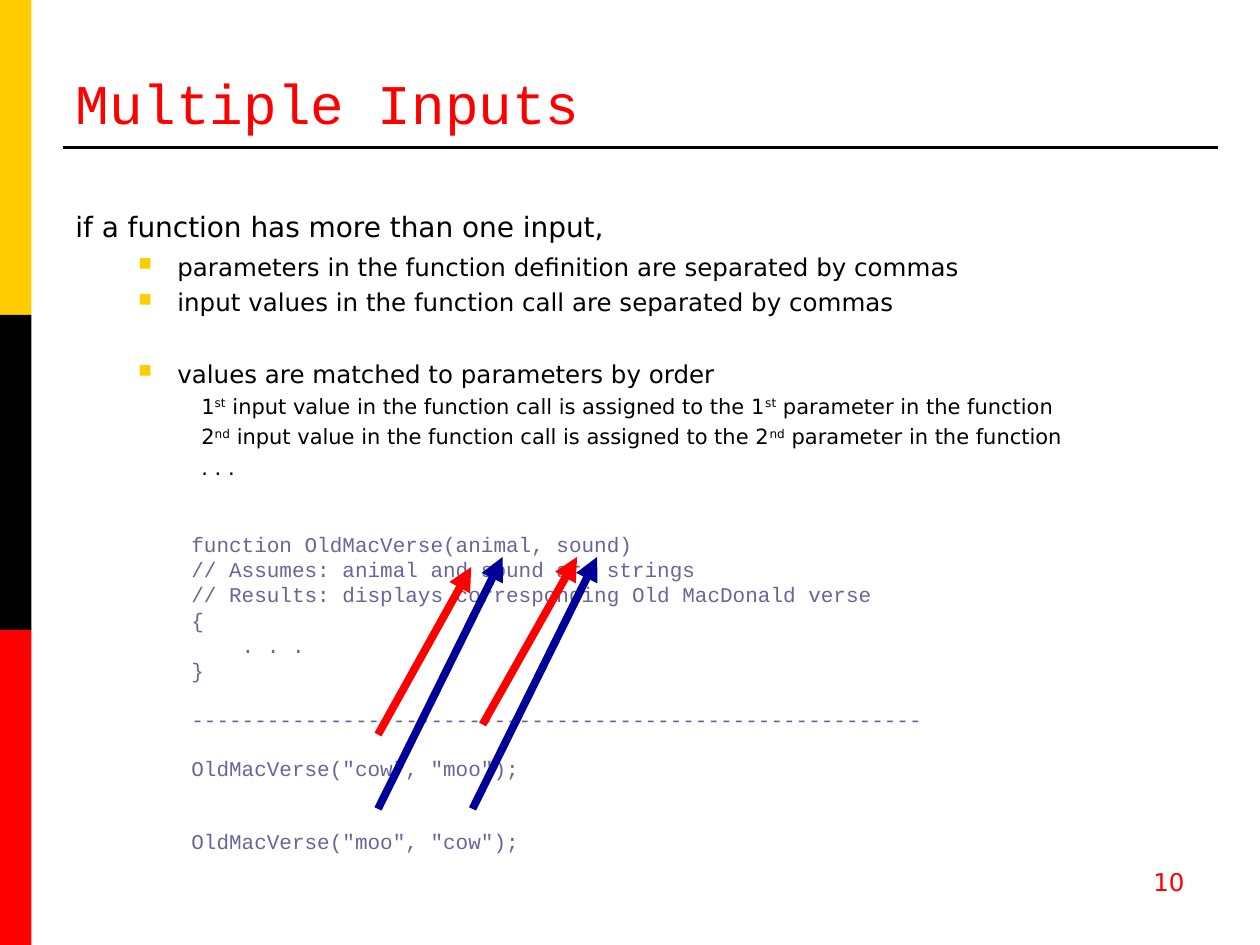
from lxml import etree
from pptx import Presentation
from pptx.dml.color import RGBColor
from pptx.enum.shapes import MSO_CONNECTOR, MSO_SHAPE
from pptx.enum.text import MSO_ANCHOR, PP_ALIGN
from pptx.oxml.ns import qn
from pptx.util import Inches, Pt

LINE, RECT = MSO_CONNECTOR.STRAIGHT, MSO_SHAPE.RECTANGLE
TOP, BOTTOM = MSO_ANCHOR.TOP, MSO_ANCHOR.BOTTOM
RIGHT = PP_ALIGN.RIGHT
GOLD = RGBColor(0xFF, 0xCC, 0x00)
BLACK = RGBColor(0, 0, 0)
RED = RGBColor(0xFF, 0, 0)
NAVY = RGBColor(0, 0, 0x99)
SLATE = RGBColor(0x66, 0x66, 0x99)
SANS, MONO = "DejaVu Sans", "Courier New"

deck = Presentation()
deck.slide_width, deck.slide_height = Inches(10), Inches(7.5)
slide = deck.slides.add_slide(deck.slide_layouts[6])
shapes = slide.shapes


def add_box(left, top, width, height, anchor=TOP):
    frame = shapes.add_textbox(
        Inches(left), Inches(top), Inches(width), Inches(height)).text_frame
    frame.word_wrap = True
    frame.vertical_anchor = anchor
    return frame


def add_run(para, text, size, face, color):
    run = para.add_run()
    run.text = text
    run.font.size, run.font.name = Pt(size), face
    run.font.color.rgb = color
    return run


# Side bands
for row, color in enumerate((GOLD, BLACK, RED)):
    band = shapes.add_shape(
        RECT, 0, Inches(2.5 * row), Inches(0.25), Inches(2.5))
    band.shadow.inherit = False
    band.fill.solid()
    band.fill.fore_color.rgb = color
    band.line.fill.background()

# Title
title = add_box(0.5, 0.33, 7.75, 0.8, BOTTOM)
add_run(title.paragraphs[0], "Multiple Inputs", 32, MONO, RED)

# Body: level, space before, runs; every second run is raised
BODY = [
    (0, 0, ["if a function has more than one input,"]),
    (1, 3.5, ["parameters in the function definition are separated by commas"]),
    (1, 3.5, ["input values in the function call are separated by commas"]),
    (1, 24, ["values are matched to parameters by order"]),
    (2, 3, ["1", "st", " input value in the function call is assigned to the 1",
            "st", " parameter in the function"]),
    (2, 3, ["2", "nd", " input value in the function call is assigned to the 2",
            "nd", " parameter in the function"]),
    (2, 3, [". . ."]),
]
SIZES = (16, 14, 12)
INDENTS = ((0.38, -0.38), (0.81, -0.31), (1.25, -0.25))
body = add_box(0.5, 1.5, 9, 2.5)
for i, (level, gap, parts) in enumerate(BODY):
    para = body.add_paragraph() if i else body.paragraphs[0]
    para.level = level
    para.space_before = Pt(gap)
    props = para._p.get_or_add_pPr()
    margin, indent = INDENTS[level]
    props.set("marL", str(Inches(margin)))
    props.set("indent", str(Inches(indent)))
    if level == 1:
        tint = etree.SubElement(props, qn("a:buClr"))
        etree.SubElement(tint, qn("a:srgbClr"), val=str(GOLD))
        etree.SubElement(props, qn("a:buSzPct"), val="75000")
        etree.SubElement(props, qn("a:buChar"), char="■")
    else:
        etree.SubElement(props, qn("a:buNone"))
    for j, part in enumerate(parts):
        run = add_run(para, part, SIZES[level], SANS, BLACK)
        if j % 2:
            run.font._element.set("baseline", "30000")
    if level == 0:
        add_run(para, " ", 24, SANS, BLACK)  # sets the height of the line

# Code: space before, text
CODE = [
    (0, "function OldMacVerse(animal, sound)"),
    (0, "// Assumes: animal and sound are strings"),
    (0, "// Results: displays corresponding Old MacDonald verse"),
    (0, "{"),
    (0, "    . . ."),
    (0, "}"),
    (13.6, "-" * 58),
    (13.6, 'OldMacVerse("cow", "moo");'),
    (27.2, 'OldMacVerse("moo", "cow");'),
]
code = add_box(1.42, 4.17, 7.18, 2.76)
for i, (gap, text) in enumerate(CODE):
    para = code.add_paragraph() if i else code.paragraphs[0]
    para.space_before = Pt(gap)
    add_run(para, text, 12, MONO, SLATE)

# Title rule, then arrows from values to parameters
LINES = [
    (0.5, 1.17, 9.67, 1.17, BLACK, 1.5),
    (3, 5.83, 3.74, 4.5, RED, 4.5),
    (3.83, 5.75, 4.58, 4.42, RED, 4.5),
    (3, 6.42, 3.99, 4.42, NAVY, 4.5),
    (3.75, 6.42, 4.74, 4.42, NAVY, 4.5),
]
for *ends, color, width in LINES:
    line = shapes.add_connector(LINE, *(Inches(end) for end in ends))
    line.line.color.rgb = color
    line.line.width = Pt(width)
    if color != BLACK:
        etree.SubElement(line.line._get_or_add_ln(), qn("a:tailEnd"),
                         type="triangle")
    etree.SubElement(line._element.spPr, qn("a:effectLst"))

# Slide number
number = add_box(7.17, 6.83, 2.33, 0.5).paragraphs[0]
number.alignment = RIGHT
add_run(number, "10", 14, SANS, RED)

deck.save("out.pptx")
